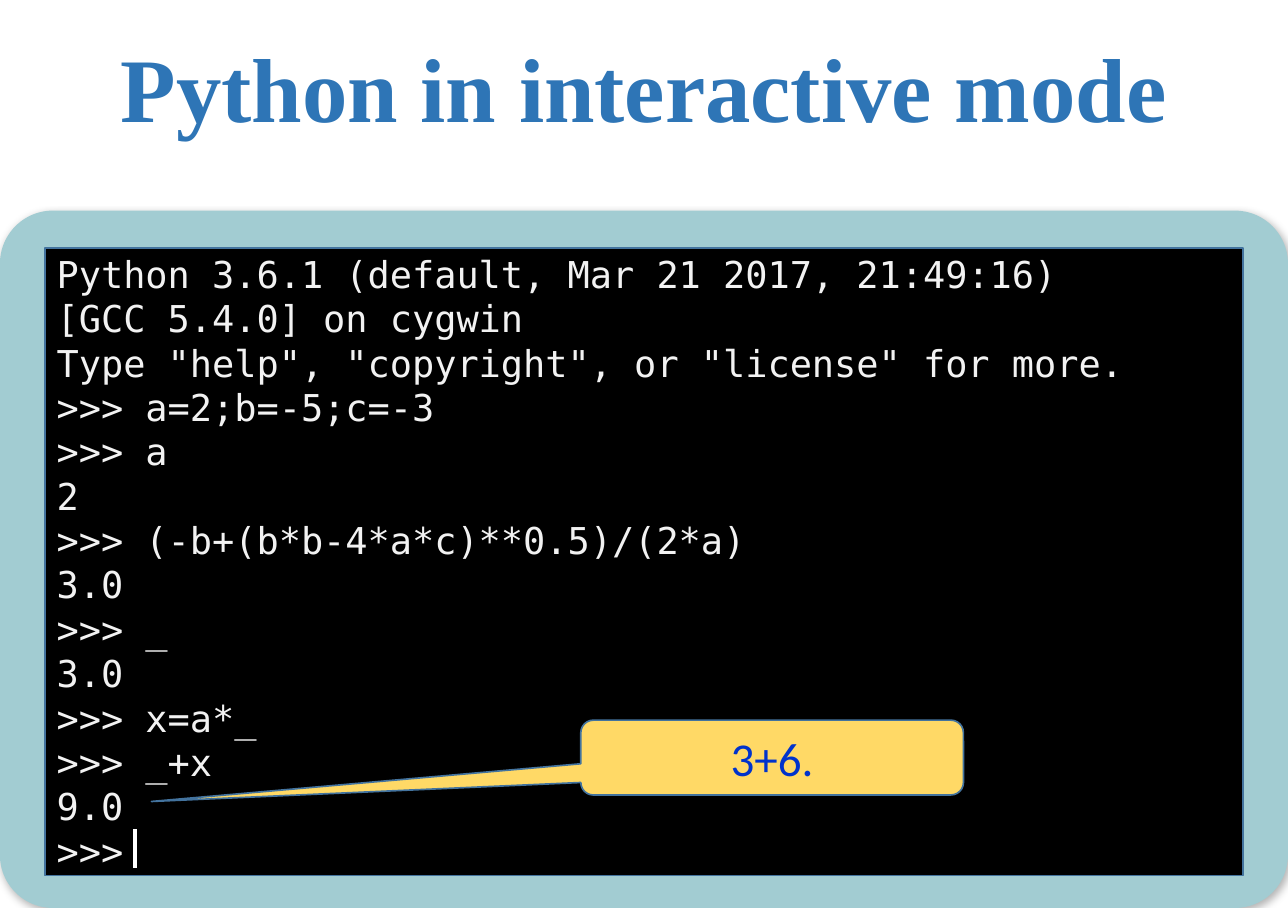
from lxml.etree import SubElement
from pptx import Presentation
from pptx.dml.color import RGBColor
from pptx.enum.shapes import MSO_CONNECTOR as Link, MSO_SHAPE as Form
from pptx.enum.text import MSO_ANCHOR as Anchor, PP_ALIGN as Align
from pptx.oxml.ns import qn
from pptx.util import Cm, Pt

hue = RGBColor.from_string


def block(form, box, fill, edge=None):
    shape = slide.shapes.add_shape(form, *[Cm(n) for n in box])
    shape.shadow.inherit = False
    shape.fill.solid()
    shape.fill.fore_color.rgb = hue(fill)
    if edge:
        shape.line.color.rgb = hue(edge)
        shape.line.width = Pt(1)
    else:
        shape.line.fill.background()
    return shape


def write(shape, lines, font, size, color, align, anchor=Anchor.MIDDLE, bold=False):
    frame = shape.text_frame
    frame.word_wrap = True
    frame.vertical_anchor = anchor
    for i, line in enumerate(lines):
        para = frame.add_paragraph() if i else frame.paragraphs[0]
        para.alignment = align
        run = para.add_run()
        run.text = line
        run.font.name = font
        run.font.size = Pt(size)
        run.font.bold = bold
        run.font.color.rgb = hue(color)


deck = Presentation()
deck.slide_width = Cm(27.03)
deck.slide_height = Cm(19.05)
slide = deck.slides.add_slide(deck.slide_layouts[6])

title = block(Form.RECTANGLE, (-1.09, 0.18, 29.21, 2.92), "FFFFFF")
write(title, ["Python in interactive mode"], "Times New Roman", 54, "2E75B6",
      Align.CENTER, Anchor.BOTTOM, True)
title.text_frame.paragraphs[0].line_spacing = 0.9

panel = block(Form.ROUNDED_RECTANGLE, (0, 4.42, 27.03, 14.63), "A2CCD2")
panel.adjustments[0] = 0.076
glow = SubElement(panel._element.spPr.find(qn("a:effectLst")), qn("a:outerShdw"),
                  blurRad=str(Pt(4.5)), dist=str(Pt(2.6)), dir=str(53 * 60000),
                  algn="tl", rotWithShape="0")
tint = SubElement(glow, qn("a:srgbClr"), val="000000")
SubElement(tint, qn("a:alpha"), val="30000")

shell = block(Form.RECTANGLE, (0.94, 5.21, 25.15, 13.16), "000000", "43739E")
lines = [
    "Python 3.6.1 (default, Mar 21 2017, 21:49:16)",
    "[GCC 5.4.0] on cygwin",
    'Type "help", "copyright", or "license" for more.',
    ">>> a=2;b=-5;c=-3",
    ">>> a",
    "2",
    ">>> (-b+(b*b-4*a*c)**0.5)/(2*a)",
    "3.0",
    ">>> _",
    "3.0",
    ">>> x=a*_",
    ">>> _+x",
    "9.0",
    ">>>",
]
write(shell, lines, "DejaVu Sans Mono", 22, "F2F2F2", Align.LEFT)

caret = slide.shapes.add_connector(Link.STRAIGHT, Cm(2.84), Cm(17.4), Cm(2.84), Cm(18.21))
caret.line.color.rgb = hue("FFFFFF")
caret.line.width = Pt(2.25)
SubElement(caret._element.spPr, qn("a:effectLst"))

note = block(Form.ROUNDED_RECTANGULAR_CALLOUT, (12.19, 15.11, 8.03, 1.57), "FFD966", "43739E")
for i, bend in enumerate((-1.622, 0.587, 0.167)):
    note.adjustments[i] = bend
write(note, ["3+6."], "Calibri", 28, "0033CC", Align.CENTER)

deck.save("out.pptx")
